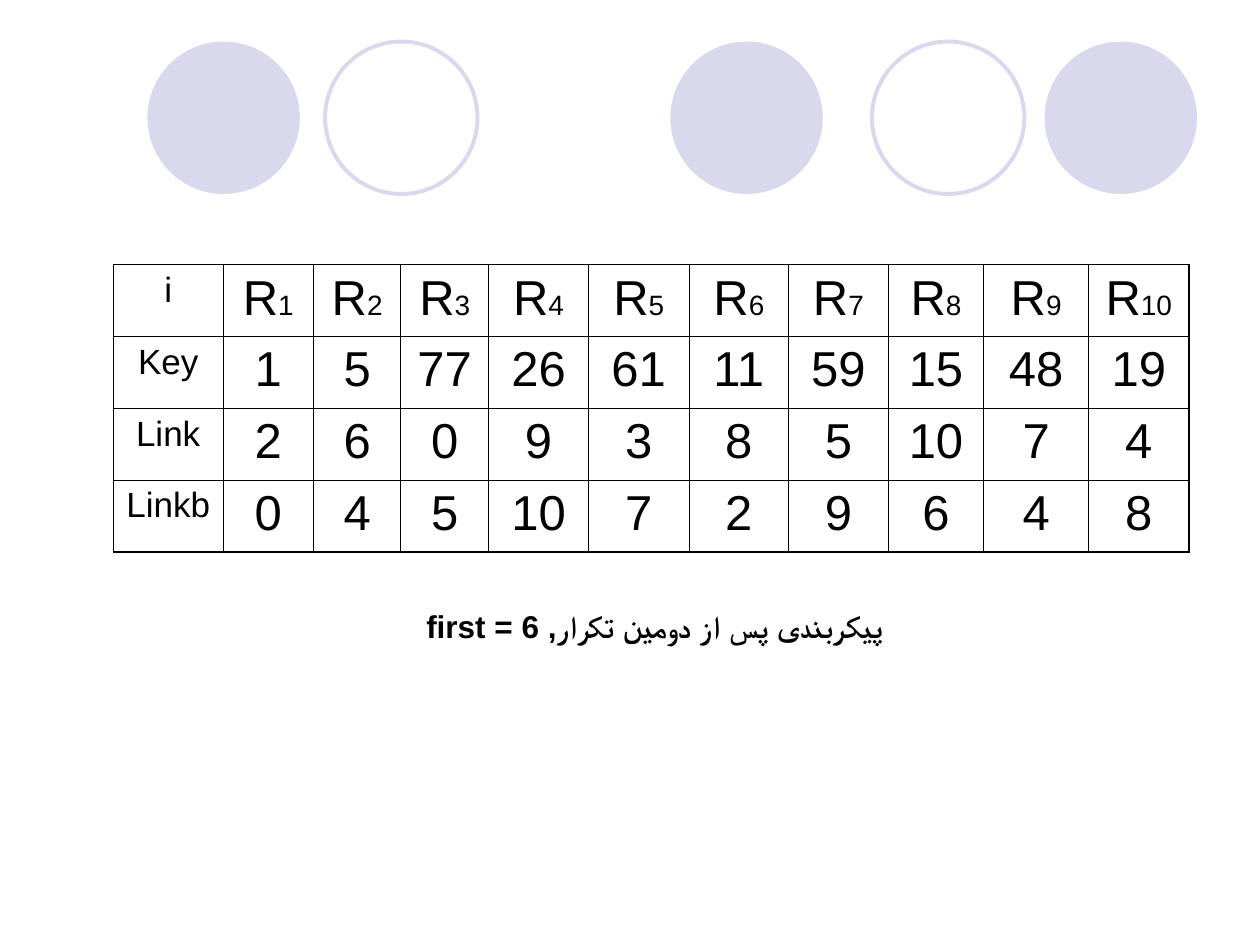
from lxml.etree import SubElement as Sub
from pptx import Presentation as Deck
from pptx.dml.color import RGBColor as Rgb
from pptx.enum.shapes import MSO_SHAPE as Kind
from pptx.enum.text import PP_ALIGN as Align
from pptx.oxml.ns import qn
from pptx.util import Inches, Pt

COLS, ROWS = 100, 75
HUES = {"ink": "000000", "lilac": "D9D8EC"}
BIG = {"size": Pt(28)}
MID = {"size": Pt(20)}
SUB = {"size": Pt(16)}
BOLD = {"size": Pt(18), "bold": True}

DISCS = [(53.2, True), (82.9, True), (11.7, True), (69.2, False), (25.8, False)]
WIDTHS = [8.7, 7.2, 6.9, 7, 7.9, 8, 7.9, 7.9, 7.6, 8.3, 8]
LISTS = {
    "Key": [1, 5, 77, 26, 61, 11, 59, 15, 48, 19],
    "Link": [2, 6, 0, 9, 3, 8, 5, 10, 7, 4],
    "Linkb": [0, 4, 5, 10, 7, 2, 9, 6, 4, 8],
}


class Page:
    font = "Arial"
    thin, thick = Pt(0.45), Pt(1.08)

    def __init__(self):
        self.deck = Deck()
        self.deck.slide_width, self.deck.slide_height = Inches(10), Inches(7.5)
        self.slide = self.deck.slides.add_slide(self.deck.slide_layouts[6])
        self.shapes = self.slide.shapes

    def x(self, cols):
        return round(self.deck.slide_width * cols / COLS)

    def y(self, rows):
        return round(self.deck.slide_height * rows / ROWS)

    def hue(self, name):
        return Rgb.from_string(HUES[name])

    def disc(self, left, top, size, solid):
        disc = self.shapes.add_shape(
            Kind.OVAL, self.x(left), self.y(top), self.x(size), self.y(size))
        disc.shadow.inherit = False
        if solid:
            disc.fill.solid()
            disc.fill.fore_color.rgb = self.hue("lilac")
            disc.line.fill.background()
        else:
            disc.fill.background()
            disc.line.color.rgb = self.hue("lilac")
            disc.line.width = Pt(2.25)

    def label(self, para, runs):
        para.alignment = Align.CENTER
        for text, style in runs:
            run = para.add_run()
            run.text = text
            for key, value in {"name": self.font, **style}.items():
                setattr(run.font, key, value)
            run.font.color.rgb = self.hue("ink")
            Sub(run._r.get_or_add_rPr(), qn("a:cs"), typeface=self.font)

    def edge(self, cell, side, width):
        line = Sub(cell._tc.get_or_add_tcPr(), qn("a:ln" + side), w=str(width))
        fill = Sub(line, qn("a:solidFill"))
        Sub(fill, qn("a:srgbClr"), val=HUES["ink"])

    def table(self, left, top, widths, height, rows):
        count, last = len(rows), len(widths) - 1
        grid = self.shapes.add_table(
            count, len(widths), self.x(left), self.y(top),
            self.x(sum(widths)), self.y(height * count)).table
        for col, width in zip(grid.columns, widths):
            col.width = self.x(width)
        for r, row in enumerate(rows):
            grid.rows[r].height = self.y(height)
            for c, runs in enumerate(row):
                cell = grid.cell(r, c)
                self.label(cell.text_frame.paragraphs[0], runs)
                outer = {"L": c == 0, "R": c == last,
                         "T": r == 0, "B": r == count - 1}
                for side, rim in outer.items():
                    self.edge(cell, side, self.thick if rim else self.thin)
                cell.fill.background()

    def note(self, left, top, width, height, runs):
        box = self.shapes.add_textbox(
            self.x(left), self.y(top), self.x(width), self.y(height))
        box.text_frame.word_wrap = True
        para = box.text_frame.paragraphs[0]
        para._p.get_or_add_pPr().set("rtl", "1")
        self.label(para, runs)


def main():
    page = Page()
    for left, solid in DISCS:
        page.disc(left, 3.3, 12.1, solid)
    head = [[("i", MID)]] + [[("R", BIG), (str(n), SUB)] for n in range(1, 11)]
    body = [[[(name, MID)]] + [[(str(n), BIG)] for n in nums]
            for name, nums in LISTS.items()]
    page.table(9, 21, WIDTHS, 5.7, [head] + body)
    page.note(12.2, 47.7, 79.5, 13.2,
              [("پیکربندی پس از دومین تکرار, first = 6", BOLD)])
    page.deck.save("out.pptx")


if __name__ == "__main__":
    main()
